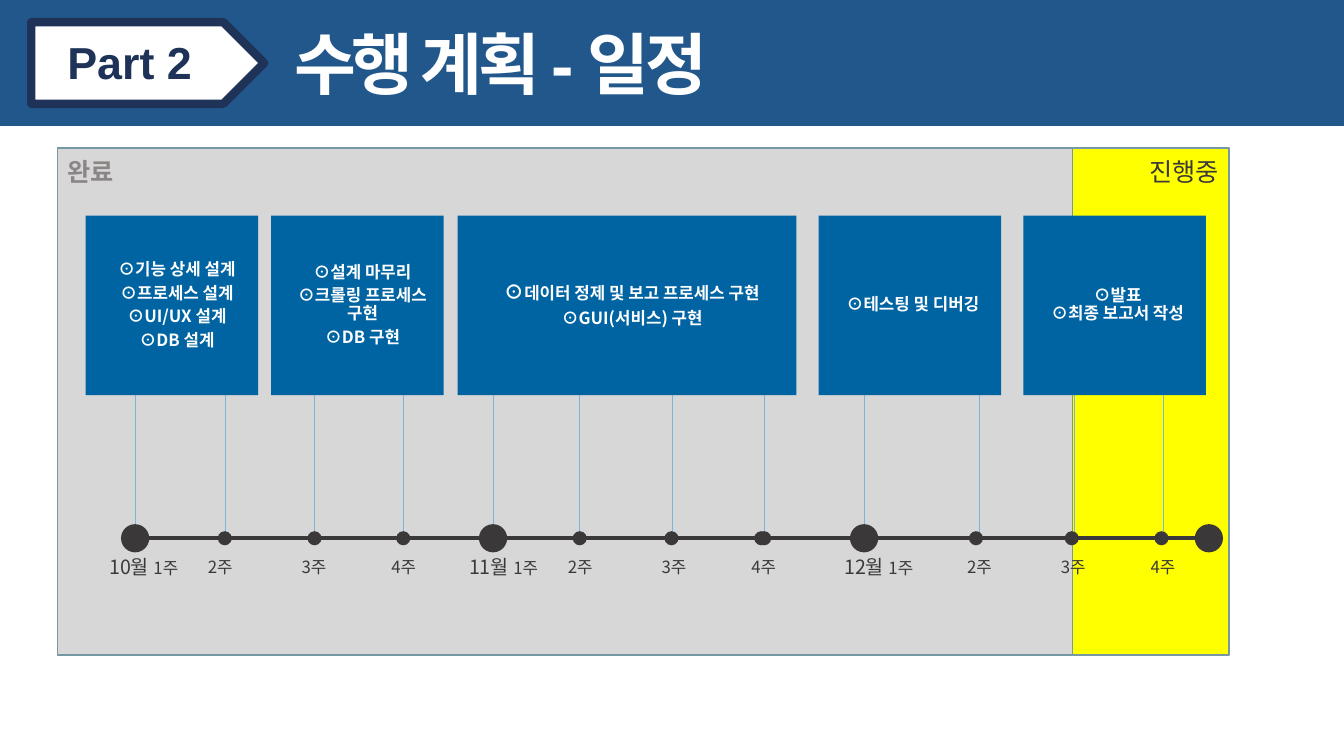
from collections import namedtuple

from lxml import etree
from pptx import Presentation, util as u
from pptx.dml.color import RGBColor
from pptx.enum import shapes, text
from pptx.oxml.ns import qn

COLORS = {
    "band": "22578B", "navy": "1F3359", "white": "FFFFFF",
    "done": "D8D7D7", "done_text": "8A8686", "ongoing": "FFFF00",
    "border": "7698A4", "card": "0064A2", "stem": "7BB6D4", "dark": "3A3838",
}
CELL = u.Inches(0.1)  # one column or row of the slide grid
LATIN, KOREAN = "Arial", "Noto Sans CJK KR"
SHAPE, ALIGN, ANCHOR = shapes.MSO_SHAPE, text.PP_ALIGN, text.MSO_ANCHOR

Box = namedtuple("Box", "left top width height")
Month = namedtuple("Month", "name start label stems dots second_week")

# Columns are counted from the left edge of the schedule
CARDS = [
    (2.8, 17.1, 2, [["⊙기능 상세 설계"], ["⊙프로세스 설계"], ["⊙UI/UX 설계"], ["⊙DB 설계"]]),
    (21.2, 17.1, 2, [["⊙설계 마무리"], ["⊙크롤링 프로세스 구현"], ["⊙DB 구현"]]),
    (39.7, 33.6, 2, [[("⊙", 14), ("데이터 정제 및 보고 프로세스 구현", 12)],
                     ["⊙GUI(서비스) 구현"]]),
    (75.5, 18.1, 1.6, [["⊙테스팅 및 디버깅"]]),
    (95.8, 18.1, 1.6, [["⊙발표\v⊙최종 보고서 작성"]]),
]
MONTHS = [
    Month("10월 ", 7.7, 8.55, [16.7, 25.5, 34.3], [16.6, 25.5, 34.3], 16.15),
    Month("11월 ", 43.2, 44.25, [51.8, 61, 70.1], [51.8, 60.9, 69.8, 70.1], 51.85),
    Month("12월 ", 80, 81.45, [91.4, 100.9, 109.7], [91.1, 100.6, 109.5], 91.45),
]
WEEK_STEPS = [0, 9.3, 18.2]
SCHEDULE_END = 114.2


def cells(*counts):
    return [round(count * CELL) for count in counts]


def color(key):
    return RGBColor.from_string(COLORS[key])


def inside(box, left, top, width, height):
    return Box(box.left + left, box.top + top, width, height)


def add_block(slide, preset, box, fill, line=None, weight=1):
    block = slide.shapes.add_shape(preset, *cells(*box))
    block.shadow.inherit = False
    block.fill.solid()
    block.fill.fore_color.rgb = color(fill)
    if line:
        block.line.color.rgb = color(line)
        block.line.width = u.Pt(weight)
    else:
        block.line.fill.background()
    return block


def add_line(slide, start, end, line, weight):
    rule = slide.shapes.add_connector(shapes.MSO_CONNECTOR.STRAIGHT, *cells(*start, *end))
    rule.line.color.rgb = color(line)
    rule.line.width = u.Pt(weight)
    etree.SubElement(rule._element.spPr, qn("a:effectLst"))


def add_dot(slide, x, y, size):
    add_block(slide, SHAPE.OVAL, Box(x - size / 2, y - size / 2, size, size), "dark")


def write(holder, paragraphs, size, ink, font=KOREAN, bold=False, align=ALIGN.LEFT,
          anchor=ANCHOR.TOP, insets=(1, 0.5, 1, 0.5), before=0, leading=None,
          wrap=True, tracking=None):
    """Each paragraph is a list holding one string, or (string, size) runs."""
    frame = holder.text_frame
    frame.word_wrap = wrap
    frame.vertical_anchor = anchor
    (frame.margin_left, frame.margin_top,
     frame.margin_right, frame.margin_bottom) = cells(*insets)
    for index, parts in enumerate(paragraphs):
        paragraph = frame.add_paragraph() if index else frame.paragraphs[0]
        paragraph.alignment = align
        paragraph.space_before = u.Pt(before)
        paragraph.line_spacing = leading
        style = paragraph.font
        style.size, style.bold, style.name = u.Pt(size), bold, font
        style.color.rgb = color(ink)
        # East Asian typeface and letter spacing
        latin = style._element.find(qn("a:latin"))
        latin.addnext(etree.Element(qn("a:ea"), typeface=KOREAN))
        if tracking:
            style._element.set("spc", str(tracking * 100))
        if isinstance(parts[0], str):
            paragraph.text = parts[0]
        else:
            for words, run_size in parts:
                run = paragraph.add_run()
                run.text = words
                run.font.size = u.Pt(run_size)


def add_label(slide, box, paragraphs, size, ink, **style):
    write(slide.shapes.add_textbox(*cells(*box)), paragraphs, size, ink, **style)


def add_header(slide, box):
    add_block(slide, SHAPE.RECTANGLE, box, "band")
    # Part tag
    add_block(slide, SHAPE.PENTAGON, inside(box, 3.1, 2.2, 23.1, 8.1), "white", "navy", 6)
    add_label(slide, inside(box, 5.7, 3, 14.5, 6.4), [["Part 2"]], 32, "navy",
              font=LATIN, bold=True, wrap=False)
    # Title
    add_label(slide, inside(box, 28.2, 1.7, 47.9, 9.1), [["수행 계획 - 일정"]], 48, "white",
              font=LATIN, bold=True, wrap=False, tracking=-3)


def add_status_panels(slide, box):
    done_width = 100.7
    ongoing = add_block(slide, SHAPE.RECTANGLE,
                        inside(box, done_width, 0, box.width - done_width, box.height),
                        "ongoing", "border")
    write(ongoing, [["진행중"]], 18, "dark", font=LATIN, align=ALIGN.RIGHT,
          insets=(1, 0.8, 1, 0.5))
    done = add_block(slide, SHAPE.RECTANGLE, inside(box, 0, 0, done_width, box.height),
                     "done", "border")
    write(done, [["완료"]], 18, "done_text", font=LATIN, bold=True, insets=(1, 0.8, 1, 0.5))


def add_timeline(slide, box, card_bottom):
    axis = box.top + 38.7
    # Stems from the axis up to the cards
    for month in MONTHS:
        for stem in [month.start, *month.stems]:
            x = box.left + stem
            add_line(slide, (x, axis), (x, box.top + card_bottom), "stem", 0.5)
    # Axis
    add_line(slide, (box.left + MONTHS[0].start, axis),
             (box.left + SCHEDULE_END, axis), "dark", 2.84)
    # Month and week dots
    for start in [month.start for month in MONTHS] + [SCHEDULE_END]:
        add_dot(slide, box.left + start, axis, 2.8)
    for month in MONTHS:
        for dot in month.dots:
            add_dot(slide, box.left + dot, axis, 1.4)
    # Month and week labels
    for month in MONTHS:
        labels = [(month.label, 8.9, [(month.name, 14), ("1주", 12)])]
        labels += [(month.second_week + step, 7.3, [f"{week}주"])
                   for week, step in enumerate(WEEK_STEPS, 2)]
        for center, width, words in labels:
            add_label(slide, inside(box, center - width / 2, 40.2, width, 2.9), [words],
                      12, "dark", align=ALIGN.CENTER, anchor=ANCHOR.MIDDLE,
                      insets=(0, 0, 0, 0), before=10, leading=0.9)


def add_task_cards(slide, box, top, height):
    for left, width, indent, tasks in CARDS:
        card = add_block(slide, SHAPE.RECTANGLE, inside(box, left, top, width, height), "card")
        write(card, tasks, 12, "white", bold=True, align=ALIGN.CENTER, anchor=ANCHOR.MIDDLE,
              insets=(indent, 0.5, 1, 0.5), before=4, leading=0.9)


def main():
    deck = Presentation()
    deck.slide_width, deck.slide_height = u.Inches(13.33), u.Inches(7.5)
    slide = deck.slides.add_slide(deck.slide_layouts[6])
    schedule = Box(5.7, 14.7, 116.2, 50.3)
    card_top, card_height = 6.7, 17.8
    add_status_panels(slide, schedule)
    add_header(slide, Box(0, 0, 133.3, 12.5))
    add_timeline(slide, schedule, card_top + card_height)
    add_task_cards(slide, schedule, card_top, card_height)
    deck.save("out.pptx")


if __name__ == "__main__":
    main()
